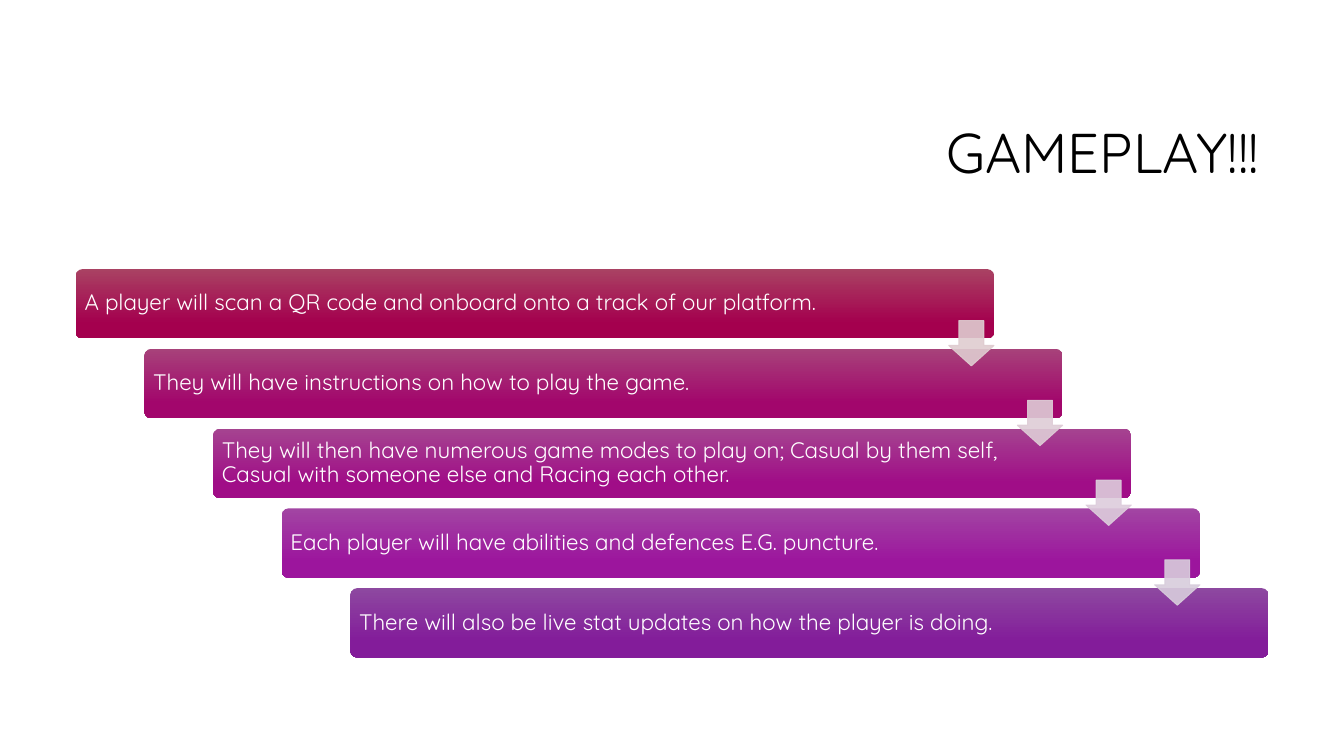
from lxml.etree import SubElement
from pptx import Presentation
from pptx.dml.color import RGBColor
from pptx.enum.shapes import MSO_SHAPE as Preset
from pptx.enum.text import MSO_ANCHOR as Anchor, MSO_AUTO_SIZE as AutoSize, PP_ALIGN as Align
from pptx.oxml.ns import qn
from pptx.util import Cm, Pt

BLACK = RGBColor(0x00, 0x00, 0x00)
WHITE = RGBColor(0xFF, 0xFF, 0xFF)
BAR_TOPS = [
    RGBColor(0xA9, 0x42, 0x63),
    RGBColor(0xA7, 0x42, 0x7A),
    RGBColor(0xA5, 0x43, 0x90),
    RGBColor(0xA2, 0x45, 0xA3),
    RGBColor(0x8D, 0x48, 0xA0),
]
BAR_BOTTOMS = [
    RGBColor(0xA4, 0x00, 0x4E),
    RGBColor(0xA2, 0x06, 0x6C),
    RGBColor(0xA0, 0x0D, 0x87),
    RGBColor(0x9C, 0x15, 0x9D),
    RGBColor(0x83, 0x1C, 0x9A),
]
ARROW_COLORS = [
    RGBColor(0xDF, 0xCC, 0xD0),
    RGBColor(0xDE, 0xCC, 0xD6),
    RGBColor(0xDD, 0xCD, 0xDC),
    RGBColor(0xD8, 0xCD, 0xDC),
]
STEPS = [
    "A player will scan a QR code and onboard onto a track of our platform.",
    "They will have instructions on how to play the game.",
    "They will then have numerous game modes to play on; Casual by them self, "
    "Casual with someone else and Racing each other.",
    "Each player will have abilities and defences E.G. puncture.",
    "There will also be live stat updates on how the player is doing.",
]

FIRST_LEFT, FIRST_TOP = 1.91, 6.78
STEP_RIGHT, STEP_DOWN = 1.73, 2.01
BAR_WIDTH, BAR_HEIGHT = 23.14, 1.75
ARROW_RIGHT, ARROW_DOWN, ARROW_SIZE = 22, 1.3, 1.14


def set_all(target, values):
    for name, value in values.items():
        setattr(target, name, value)


class StaircaseSlide:
    font_name = "Quicksand"

    def __init__(self, presentation):
        self.slide = presentation.slides.add_slide(presentation.slide_layouts[5])

    def fill_text(self, shape, text, size, color, align, frame_format):
        frame = shape.text_frame
        set_all(frame, {"word_wrap": True, "auto_size": AutoSize.NONE,
                        "vertical_anchor": Anchor.MIDDLE, **frame_format})
        paragraph = frame.paragraphs[0]
        paragraph.text = text
        set_all(paragraph, {"alignment": align, "line_spacing": 0.9})
        set_all(paragraph.font, {"name": self.font_name, "size": Pt(size)})
        paragraph.font.color.rgb = color

    def title(self, text):
        title = self.slide.shapes.title
        set_all(title, {"left": Cm(8.05), "top": Cm(2.13),
                        "width": Cm(23.93), "height": Cm(3.58)})
        self.fill_text(title, text, 40, BLACK, Align.RIGHT, {})

    def preset(self, kind, left, top, width, height, adjustments):
        shape = self.slide.shapes.add_shape(kind, Cm(left), Cm(top), Cm(width), Cm(height))
        shape.shadow.inherit = False
        for index, value in enumerate(adjustments):
            shape.adjustments[index] = value
        return shape

    def bar(self, left, top, text, top_color, bottom_color):
        bar = self.preset(Preset.ROUNDED_RECTANGLE, left, top, BAR_WIDTH, BAR_HEIGHT, [0.1])
        bar.line.fill.background()
        bar.fill.gradient()
        bar.fill.gradient_angle = 270
        stops = zip(bar.fill.gradient_stops, (top_color, bottom_color), (0, 0.78))
        for stop, color, position in stops:
            stop.color.rgb = color
            stop.position = position
        insets = {"margin_left": Cm(0.17), "margin_right": Cm(3.05),
                  "margin_top": Cm(0.17), "margin_bottom": Cm(0.17)}
        self.fill_text(bar, text, 16, WHITE, Align.LEFT, insets)

    def arrow(self, left, top, color):
        arrow = self.preset(Preset.DOWN_ARROW, left, top, ARROW_SIZE, ARROW_SIZE, [0.55, 0.45])
        arrow.line.width = Pt(0.75)
        for fill in (arrow.fill, arrow.line.fill):
            fill.solid()
            fill.fore_color.rgb = color
        for color_element in arrow._element.spPr.iter(qn("a:srgbClr")):
            SubElement(color_element, qn("a:alpha"), val="90000")


def main():
    presentation = Presentation()
    set_all(presentation, {"slide_width": Cm(33.87), "slide_height": Cm(19.05)})
    gameplay = StaircaseSlide(presentation)
    gameplay.title("GAMEPLAY!!!")
    corners = [(FIRST_LEFT + index * STEP_RIGHT, FIRST_TOP + index * STEP_DOWN)
               for index in range(len(STEPS))]
    for (left, top), *bar_content in zip(corners, STEPS, BAR_TOPS, BAR_BOTTOMS):
        gameplay.bar(left, top, *bar_content)
    for (left, top), color in zip(corners, ARROW_COLORS):
        gameplay.arrow(left + ARROW_RIGHT, top + ARROW_DOWN, color)
    presentation.save("out.pptx")


if __name__ == "__main__":
    main()
